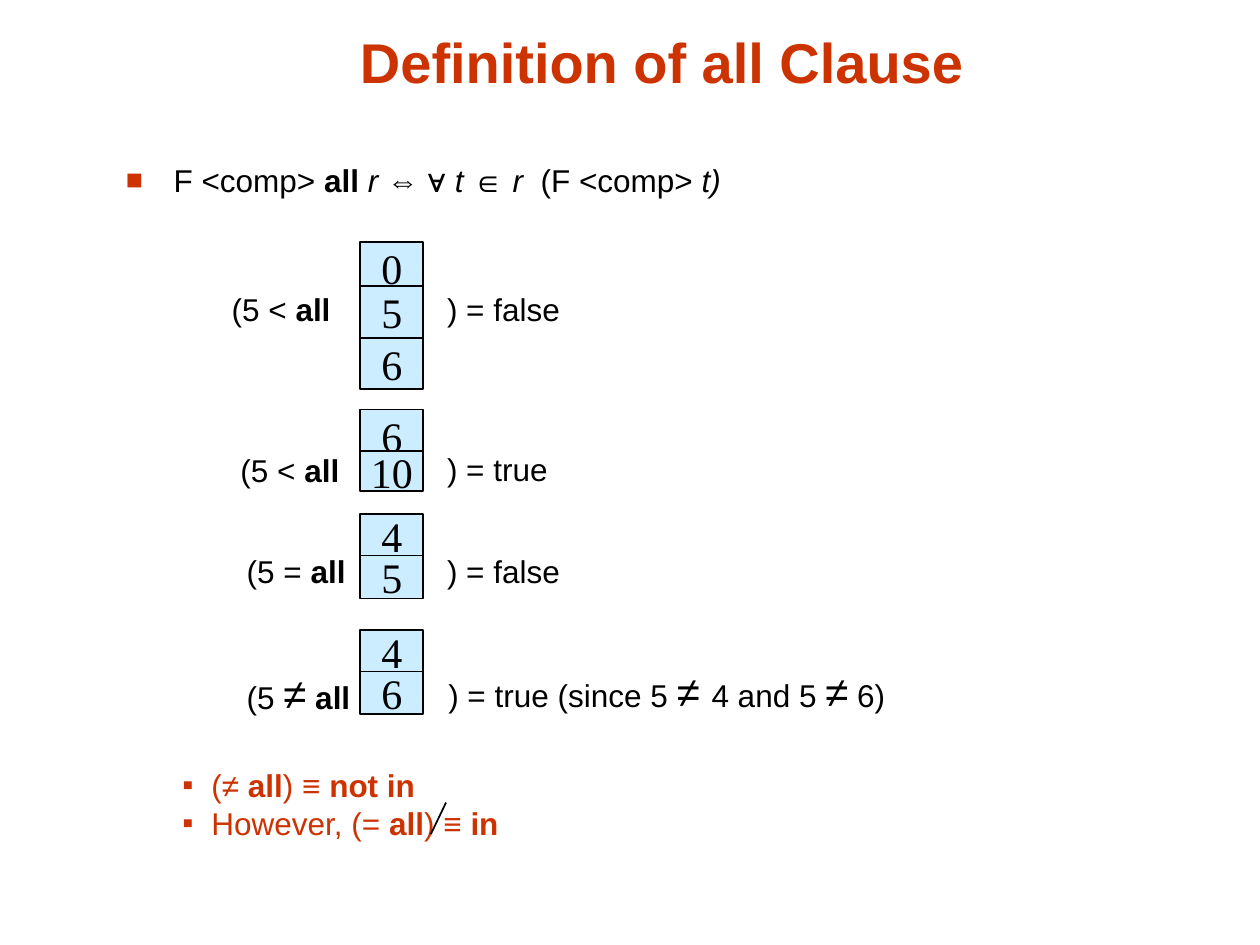
from lxml import etree
from pptx import Presentation
from pptx.dml.color import RGBColor
from pptx.enum.shapes import MSO_CONNECTOR, MSO_SHAPE
from pptx.enum.text import MSO_ANCHOR, PP_ALIGN
from pptx.oxml.ns import qn
from pptx.util import Inches, Pt

RECTANGLE = MSO_SHAPE.RECTANGLE
STRAIGHT = MSO_CONNECTOR.STRAIGHT
MIDDLE = MSO_ANCHOR.MIDDLE
BOTTOM = MSO_ANCHOR.BOTTOM
CENTER = PP_ALIGN.CENTER
COLORS = {"accent": "CC3300", "text": "000000", "cell": "CCECFF"}


def write_paragraph(paragraph, runs, size=18, color="text", font="Arial", bullet=None):
    if bullet:
        character, indent, percent = bullet
        properties = paragraph._p.get_or_add_pPr()
        properties.set("marL", str(Inches(indent)))
        properties.set("indent", str(-Inches(indent)))
        bullet_color = etree.SubElement(properties, qn("a:buClr"))
        etree.SubElement(bullet_color, qn("a:srgbClr"), val=COLORS["accent"])
        etree.SubElement(properties, qn("a:buSzPct"), val=str(percent * 1000))
        etree.SubElement(properties, qn("a:buFont"), typeface="Arial")
        etree.SubElement(properties, qn("a:buChar"), char=character)
    paragraph.font.name = font
    paragraph.font.size = Pt(size)
    paragraph.font.color.rgb = RGBColor.from_string(COLORS[color])
    for text, style in runs:
        run = paragraph.add_run()
        run.text = text
        if style == "bold":
            run.font.bold = True
        elif style == "italic":
            run.font.italic = True
        elif style == "large":
            run.font.size = Pt(24)


def add_text_box(left, top, width, height):
    box = slide.shapes.add_textbox(Inches(left), Inches(top), Inches(width), Inches(height))
    box.text_frame.word_wrap = True
    return box.text_frame


presentation = Presentation()
presentation.slide_width = Inches(10)
presentation.slide_height = Inches(7.5)
slide = presentation.slides.add_slide(presentation.slide_layouts[6])

title = add_text_box(0.84, 0.13, 8.83, 0.67)
title.vertical_anchor = BOTTOM
title.paragraphs[0].alignment = CENTER
write_paragraph(title.paragraphs[0], [("Definition of all Clause", "bold")], 32, "accent")

definition = add_text_box(0.9, 1.23, 7.26, 0.42)
definition_runs = [
    ("F <comp> ", ""), ("all ", "bold"), ("r ", "italic"), ("⇔ ∀ ", ""), ("t ", "italic"),
    ("∈ ", ""), ("r ", "italic"), (" (F <comp> ", ""), ("t)", "italic"),
]
write_paragraph(definition.paragraphs[0], definition_runs, bullet=("■", 0.38, 90))

cells = [
    ("0", 1.92, 0.41), ("5", 2.27, 0.41), ("6", 2.68, 0.41),
    ("6", 3.25, 0.42), ("10", 3.58, 0.32),
    ("4", 4.08, 0.34), ("5", 4.41, 0.34),
    ("4", 5, 0.34), ("6", 5.33, 0.34),
]
for value, top, height in cells:
    cell = slide.shapes.add_shape(RECTANGLE, Inches(2.86), Inches(top), Inches(0.5), Inches(height))
    cell.shadow.inherit = False
    cell.fill.solid()
    cell.fill.fore_color.rgb = RGBColor.from_string(COLORS["cell"])
    cell.line.color.rgb = RGBColor.from_string(COLORS["text"])
    cell.line.width = Pt(1)
    cell.text_frame.word_wrap = False
    cell.text_frame.vertical_anchor = MIDDLE
    cell.text_frame.paragraphs[0].alignment = CENTER
    write_paragraph(cell.text_frame.paragraphs[0], [(value, "")], 24, font="Times New Roman")

labels = [
    (1.74, 2.25, 1.33, [("(5 < ", ""), ("all", "bold")]),
    (3.45, 2.25, 1.33, [(") = false", "")]),
    (1.81, 3.53, 1.33, [("(5 < ", ""), ("all", "bold")]),
    (3.45, 3.52, 1.33, [(") = true", "")]),
    (1.86, 4.33, 1.33, [("(5 = ", ""), ("all", "bold")]),
    (3.45, 4.33, 1.33, [(") = false", "")]),
    (1.86, 5.25, 1.83, [("(5 ", ""), ("≠", "large"), (" ", ""), ("all", "bold")]),
    (3.46, 5.23, 5, [(") = true (since 5 ", ""), ("≠ ", "large"), ("4 and 5 ", ""),
                     ("≠", "large"), (" 6)", "")]),
]
for left, top, width, runs in labels:
    label = add_text_box(left, top, width, 0.4)
    write_paragraph(label.paragraphs[0], runs)

conclusions = add_text_box(1.35, 6.03, 7.44, 0.82)
conclusion_bullet = ("▪", 0.23, 100)
write_paragraph(conclusions.paragraphs[0],
                [("(≠ ", ""), ("all", "bold"), (") ≡ ", ""), ("not in", "bold")],
                color="accent", bullet=conclusion_bullet)
write_paragraph(conclusions.add_paragraph(),
                [("However, (= ", ""), ("all", "bold"), (") ≡ ", ""), ("in", "bold")],
                color="accent", bullet=conclusion_bullet)

slash = slide.shapes.add_connector(STRAIGHT, Inches(3.54), Inches(6.37), Inches(3.42), Inches(6.62))
slash.line.color.rgb = RGBColor.from_string(COLORS["text"])
slash.line.width = Pt(1)
etree.SubElement(slash._element.spPr, qn("a:effectLst"))

presentation.save("out.pptx")
